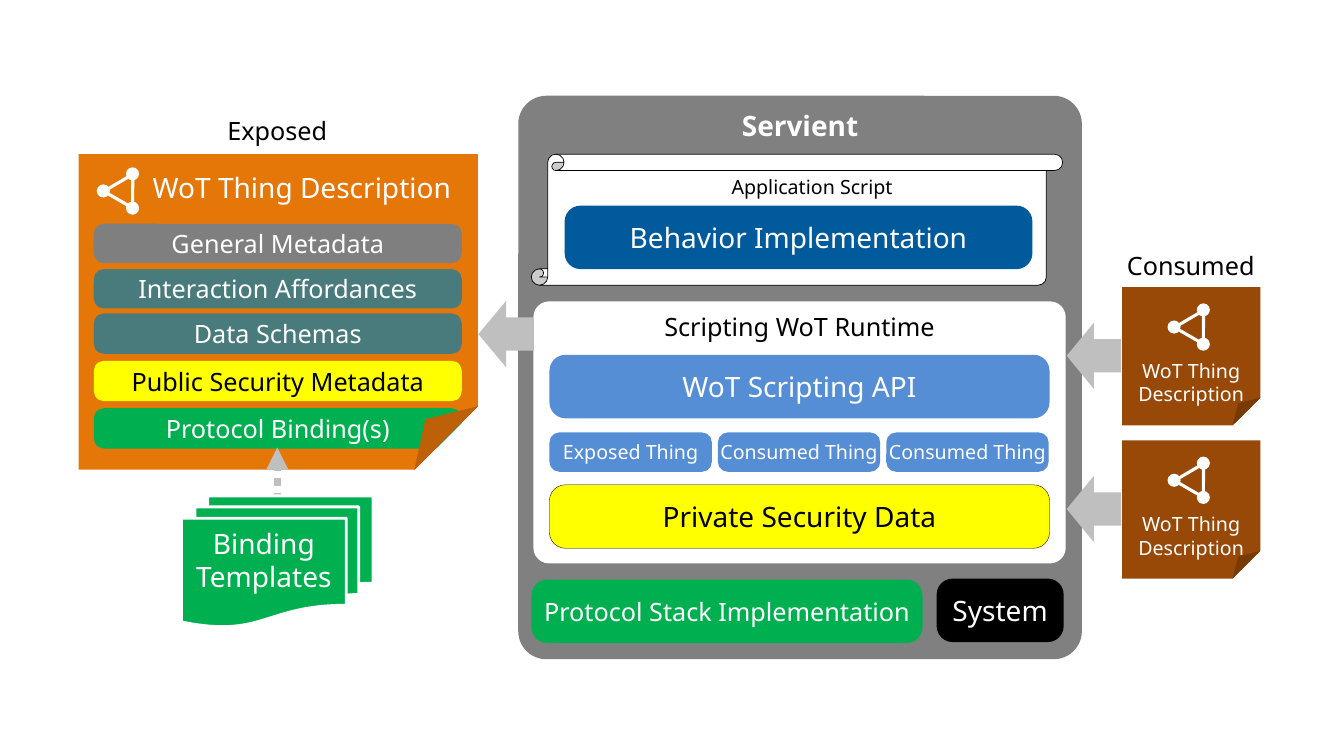
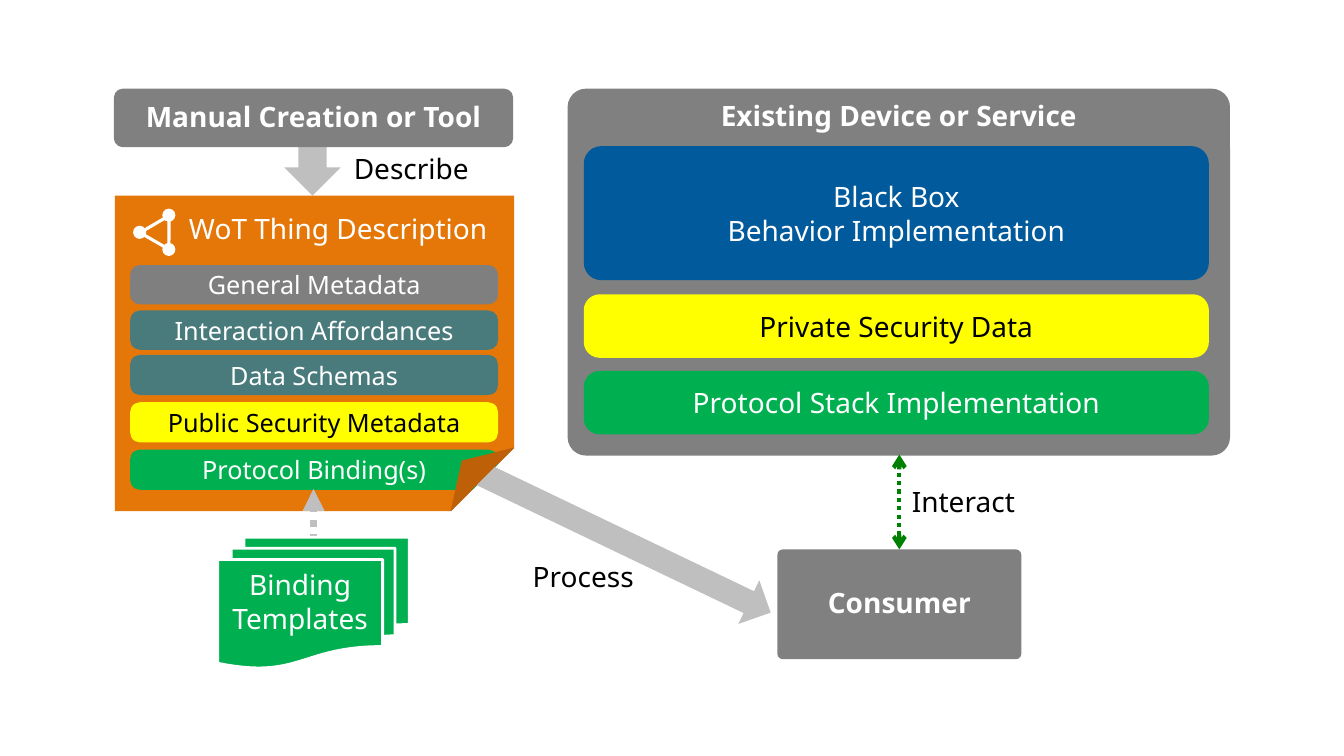
import copy
from dataclasses import dataclass
from typing import Optional

import pptx
import pptx.dml.color
import pptx.enum.dml
import pptx.enum.shapes
import pptx.enum.text
import pptx.oxml
import pptx.oxml.ns
import pptx.util

Inches = pptx.util.Inches
Pt = pptx.util.Pt
RGB = pptx.dml.color.RGBColor.from_string
SHAPE = pptx.enum.shapes.MSO_SHAPE
ANCHOR = pptx.enum.text.MSO_ANCHOR
ALIGN = pptx.enum.text.PP_ALIGN
qn = pptx.oxml.ns.qn


@dataclass(frozen=True)
class Theme:
    font: str = "Noto Sans"
    white: str = "FFFFFF"
    black: str = "000000"
    frame: str = "808080"
    metadata: str = "7F7F7F"
    arrow: str = "BFBFBF"
    description: str = "E57709"
    flap: str = "BD6008"
    consumed: str = "984807"
    teal: str = "4A7B7C"
    yellow: str = "FFFF00"
    green: str = "00B050"
    interact: str = "008000"
    blue: str = "005A9C"
    api: str = "558ED5"
    large: int = 20
    medium: int = 18
    small: int = 14


T = Theme()
INSETS = (0.1, 0.05, 0.1, 0.05)
FRAME_INSETS = (0.1, 0.04, 0.1, 0.08)


@dataclass(frozen=True)
class Box:
    """A preset shape; in its text \\v breaks a line and \\n a paragraph."""
    x: float
    y: float
    w: float
    h: float
    fill: Optional[str] = None
    text: str = ""
    size: int = T.large
    color: str = T.white
    bold: bool = False
    shape: SHAPE = SHAPE.ROUNDED_RECTANGLE
    adj: Optional[float] = None
    anchor: ANCHOR = ANCHOR.MIDDLE
    insets: tuple[float, ...] = INSETS
    line: Optional[str] = None
    line_width: float = 1
    rotation: float = 0


@dataclass(frozen=True)
class Bar:
    text: str
    y: float
    h: float
    fill: str
    color: str = T.white


BARS = (
    Bar("General Metadata", 0.69, 0.39, T.metadata),
    Bar("Interaction Affordances", 1.14, 0.39, T.teal),
    Bar("Data Schemas", 1.58, 0.4, T.teal),
    Bar("Public Security Metadata", 2.05, 0.4, T.yellow, T.black),
    Bar("Protocol Binding(s)", 2.52, 0.4, T.green),
)


# Basic drawing
def write(tf, text: str, size: int, color: str, bold: bool = False,
          anchor: ANCHOR = ANCHOR.TOP,
          insets: tuple[float, ...] = INSETS) -> None:
    left, top, right, bottom = map(Inches, insets)
    frame_format = {"word_wrap": False, "vertical_anchor": anchor,
                    "margin_left": left, "margin_top": top,
                    "margin_right": right, "margin_bottom": bottom}
    for name, value in frame_format.items():
        setattr(tf, name, value)
    tf.text = text
    font_format = {"name": T.font, "size": Pt(size), "bold": bold}
    for p in tf.paragraphs:
        p.alignment = ALIGN.CENTER
        for r in p.runs:
            for name, value in font_format.items():
                setattr(r.font, name, value)
            r.font.color.rgb = RGB(color)
        for br in p._p.findall(qn("a:br")):
            br.append(copy.deepcopy(p.runs[0]._r.rPr))


def paint(sp, fill: Optional[str], line: Optional[str] = None,
          width: float = 1) -> None:
    sp.shadow.inherit = False
    if fill:
        sp.fill.solid()
        sp.fill.fore_color.rgb = RGB(fill)
    else:
        sp.fill.background()
    if line:
        sp.line.color.rgb = RGB(line)
        sp.line.width = Pt(width)
    else:
        sp.line.fill.background()


def adjust(sp, value: float) -> None:
    """Set the first adjustment, also where python-pptx lists none."""
    if len(sp.adjustments):
        sp.adjustments[0] = value
        return
    guide = pptx.oxml.parse_xml(
        f'<a:gd {pptx.oxml.ns.nsdecls("a")} name="adj" '
        f'fmla="val {round(value * 100000)}"/>')
    geometry = sp._element.spPr.find(qn("a:prstGeom"))
    geometry.find(qn("a:avLst")).append(guide)


def draw(s, box: Box) -> None:
    sp = s.shapes.add_shape(box.shape, *map(Inches, (box.x, box.y, box.w, box.h)))
    sp.rotation = box.rotation
    if box.adj is not None:
        adjust(sp, box.adj)
    elif box.shape == SHAPE.ROUNDED_RECTANGLE:
        adjust(sp, 0.25)
    paint(sp, box.fill, box.line, box.line_width)
    if box.text:
        write(sp.text_frame, box.text, box.size, box.color, box.bold,
              box.anchor, box.insets)


def label(s, text: str, x: float, y: float, w: float, h: float, size: int) -> None:
    sp = s.shapes.add_textbox(*map(Inches, (x, y, w, h)))
    write(sp.text_frame, text, size, T.black)
    sp.text_frame.auto_size = pptx.enum.text.MSO_AUTO_SIZE.SHAPE_TO_FIT_TEXT


def dotted_line(s, x: float, y1: float, y2: float, color: str, width: float,
                **ends: str) -> None:
    cx = s.shapes.add_connector(pptx.enum.shapes.MSO_CONNECTOR.STRAIGHT,
                                *map(Inches, (x, y1, x, y2)))
    cx.line.color.rgb = RGB(color)
    cx.line.width = Pt(width)
    cx.line.dash_style = pptx.enum.dml.MSO_LINE.ROUND_DOT
    ln = cx._element.spPr.find(qn("a:ln"))
    for name, kind in ends.items():
        end = pptx.oxml.parse_xml(
            f'<a:{name} {pptx.oxml.ns.nsdecls("a")} type="{kind}"/>')
        ln.append(end)
    cx._element.spPr.append(
        pptx.oxml.parse_xml(f'<a:effectLst {pptx.oxml.ns.nsdecls("a")}/>'))


def polygon(s, points: list[tuple[float, float]], fill: str) -> None:
    corners = [(Inches(x), Inches(y)) for x, y in points]
    builder = s.shapes.build_freeform(*corners[0])
    builder.add_line_segments(corners[1:], close=True)
    paint(builder.convert_to_shape(), fill)


# Parts shared by the slides
def share_icon(s, x: float, y: float) -> None:
    draw(s, Box(x, y, 0.33, 0.29, shape=SHAPE.ISOSCELES_TRIANGLE,
                line=T.white, line_width=2.25, rotation=30))
    for dx, dy in ((0.17, -0.05), (-0.12, 0.12), (0.17, 0.29)):
        draw(s, Box(x + dx, y + dy, 0.13, 0.13, T.white, shape=SHAPE.OVAL))


def block_arrow(s, x: float, y: float, w: float, h: float, rotation: float) -> None:
    draw(s, Box(x, y, w, h, T.arrow, shape=SHAPE.DOWN_ARROW, rotation=rotation))


def frame(s, text: str, x: float, y: float, w: float, h: float,
          adj: float = 0.05, anchor: ANCHOR = ANCHOR.MIDDLE) -> None:
    draw(s, Box(x, y, w, h, T.frame, text, bold=True, adj=adj,
                anchor=anchor, insets=FRAME_INSETS))


def thing_description(s, x: float, y: float) -> None:
    draw(s, Box(x, y, 3.96, 3.13, T.description, "WoT Thing Description",
                shape=SHAPE.FOLDED_CORNER, adj=0.2, anchor=ANCHOR.TOP,
                insets=(0.47, 0.16, 0, 0)))
    share_icon(s, x + 0.3, y + 0.18)
    for bar in BARS:
        draw(s, Box(x + 0.15, y + bar.y, 3.65, bar.h, bar.fill, bar.text,
                    T.medium, bar.color))
    right, bottom = x + 3.96, y + 3.14
    polygon(s, [(right - 0.63, bottom), (right, bottom), (right, bottom - 0.63)],
            T.white)
    dotted_line(s, x + 1.97, y + 3.87, y + 2.91, T.arrow, 5.25, tailEnd="triangle")
    draw(s, Box(x + 1.02, y + 3.39, 1.9, 1.3, T.green, "Binding\vTemplates",
                shape=SHAPE.FLOWCHART_MULTIDOCUMENT, anchor=ANCHOR.TOP,
                insets=(0, 0.08, 0, 0), line=T.white, line_width=2))


def folded_flap(s, x: float, y: float) -> None:
    right, bottom = x + 3.96, y + 3.13
    polygon(s, [(right - 0.63, bottom), (right - 0.52, bottom - 0.5),
                (right, bottom - 0.63)], T.flap)


# Slides
def servient_slide(s) -> None:
    frame(s, "Servient", 5.14, 0.95, 5.59, 5.59, anchor=ANCHOR.TOP)
    draw(s, Box(5.29, 2.99, 5.28, 2.6, T.white, "Scripting WoT Runtime", T.medium,
                T.black, adj=0.06, anchor=ANCHOR.TOP))
    things = ("Exposed Thing", "Consumed Thing", "Consumed Thing")
    for i, thing in enumerate(things):
        draw(s, Box(5.45 + 1.67 * i, 4.29, 1.61, 0.39, T.api, thing, T.small))

    # Script and building blocks
    draw(s, Box(5.27, 1.53, 5.27, 1.3, T.white, shape=SHAPE.VERTICAL_SCROLL,
                line=T.black, line_width=0.5))
    label(s, "Application Script", 7.15, 1.69, 1.81, 0.34, T.small)
    for box in (
        Box(5.6, 2.04, 4.64, 0.63, T.blue, "Behavior Implementation"),
        Box(5.45, 3.52, 4.96, 0.63, T.api, "WoT Scripting API"),
        Box(5.45, 4.81, 4.96, 0.63, T.yellow, "Private Security Data",
            color=T.black, line=T.black, line_width=0.25),
        Box(5.27, 5.75, 3.88, 0.63, T.green, "Protocol Stack Implementation",
            T.medium),
        Box(9.29, 5.74, 1.26, 0.63, T.black, "System"),
    ):
        draw(s, box)

    # Consumed descriptions
    label(s, "Consumed", 11.07, 2.43, 1.48, 0.4, T.medium)
    for y in (2.85, 4.37):
        block_arrow(s, 10.52, y + 0.41, 0.66, 0.54, 90)
        draw(s, Box(11.13, y, 1.37, 1.37, T.consumed, "WoT Thing\vDescription",
                    T.small, shape=SHAPE.FOLDED_CORNER, adj=0.2,
                    anchor=ANCHOR.TOP, insets=(0, 0.71, 0, 0)))
        share_icon(s, 11.7, y + 0.21)

    # Exposed description
    block_arrow(s, 4.69, 3.04, 0.66, 0.55, 90)
    label(s, "Exposed", 2.15, 1.09, 1.2, 0.4, T.medium)
    thing_description(s, 0.78, 1.53)
    folded_flap(s, 0.78, 1.53)


def existing_device_slide(s) -> None:
    # Device
    frame(s, "Existing Device or Service", 5.63, 0.88, 6.57, 3.64,
          anchor=ANCHOR.TOP)
    for box in (
        Box(5.79, 1.45, 6.2, 1.33, T.blue, "Black Box\nBehavior Implementation",
            adj=0.13),
        Box(5.79, 2.92, 6.2, 0.63, T.yellow, "Private Security Data",
            color=T.black),
        Box(5.79, 3.68, 6.2, 0.63, T.green, "Protocol Stack Implementation"),
    ):
        draw(s, box)

    # Creation and consumer
    block_arrow(s, 2.82, 1.24, 0.56, 0.7, 0)
    frame(s, "Manual Creation or Tool", 1.13, 0.88, 3.96, 0.58, 0.15)
    frame(s, "Consumer", 7.71, 5.45, 2.42, 1.09)
    dotted_line(s, 8.92, 5.45, 4.51, T.interact, 3, headEnd="arrow", tailEnd="arrow")
    for text, x, y, w in (("Interact", 8.93, 4.76, 1.25),
                          ("Process", 5.17, 5.5, 1.23),
                          ("Describe", 3.4, 1.45, 1.36)):
        label(s, text, x, y, w, 0.44, T.large)

    # Description, with the process arrow under its folded corner
    thing_description(s, 1.14, 1.94)
    block_arrow(s, 5.97, 3.8, 0.48, 3.18, 295.6)
    folded_flap(s, 1.14, 1.94)


def main() -> None:
    prs = pptx.Presentation()
    prs.slide_width, prs.slide_height = Inches(13.33), Inches(7.5)
    for build in (servient_slide, existing_device_slide):
        build(prs.slides.add_slide(prs.slide_layouts[6]))
    prs.save("out.pptx")


if __name__ == "__main__":
    main()
